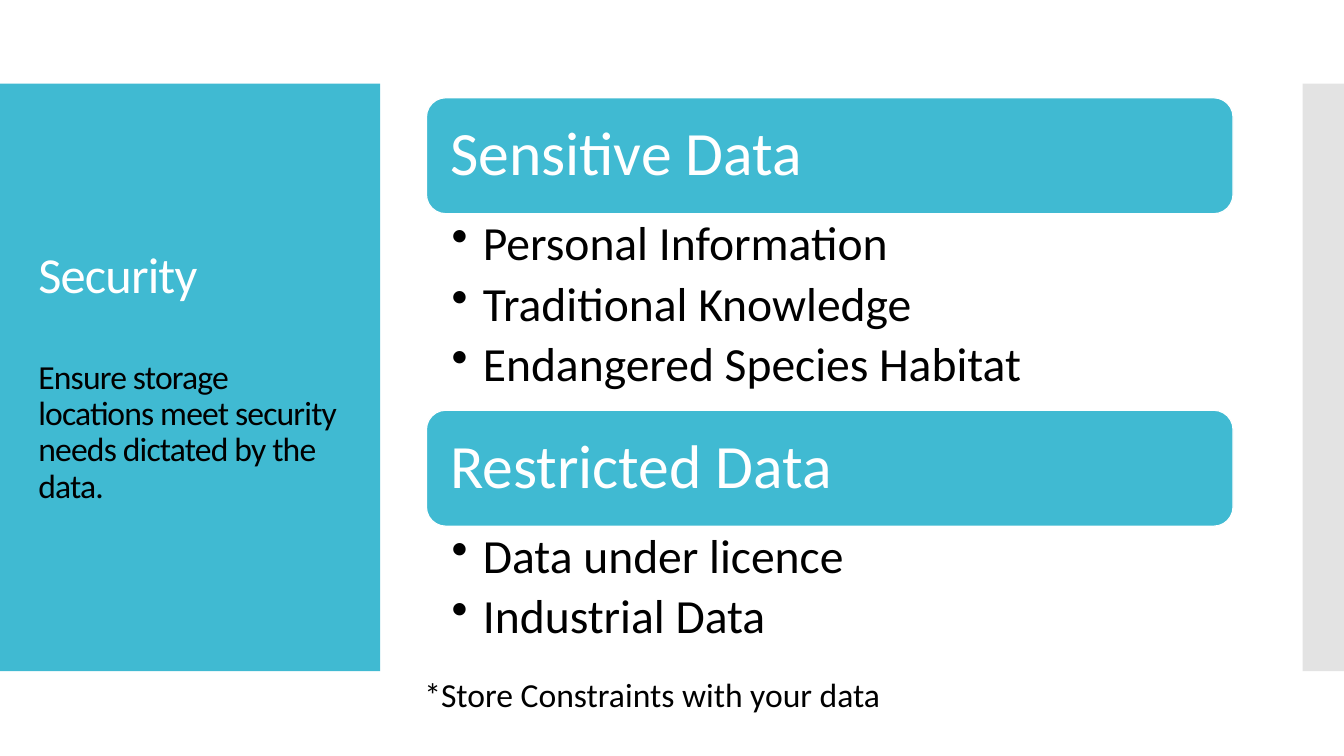
from lxml.etree import SubElement
from pptx import Presentation
from pptx.dml.color import RGBColor
from pptx.enum.shapes import MSO_SHAPE as Shape
from pptx.enum.text import MSO_ANCHOR as Anchor, PP_ALIGN as Align
from pptx.oxml.ns import qn
from pptx.util import Inches, Pt

TEAL, WHITE, BLACK, GREY = "40BAD2", "FFFFFF", "000000", "C8C8C8"
GROUPS = [
    (0.97, "Sensitive Data",
     ["Personal Information", "Traditional Knowledge", "Endangered Species Habitat"]),
    (4.07, "Restricted Data", ["Data under licence", "Industrial Data"]),
]
GROUP_LEFT, GROUP_WIDTH, HEADING_HEIGHT, BULLET_PITCH = 4.23, 8, 1.15, 0.65


def rgb(color):
    """Turn a hex string into a colour."""
    return RGBColor.from_string(color)


def add_block(slide, kind, left, top, width, height, color):
    """Add a filled shape without outline or shadow."""
    block = slide.shapes.add_shape(
        kind, Inches(left), Inches(top), Inches(width), Inches(height))
    block.shadow.inherit = False
    block.fill.solid()
    block.fill.fore_color.rgb = rgb(color)
    block.line.fill.background()
    return block


def set_frame(frame, anchor, left=0.1, top=0.05, right=0.1, bottom=0.05):
    """Set wrapping, anchor and insets of a text frame."""
    frame.word_wrap = True
    frame.vertical_anchor = anchor
    frame.margin_left, frame.margin_right = Inches(left), Inches(right)
    frame.margin_top, frame.margin_bottom = Inches(top), Inches(bottom)


def write_lines(frame, lines, size, color, spacing=0.9):
    """Write one left-aligned paragraph per line and return the paragraphs."""
    frame.text = "\n".join(lines)
    for paragraph in frame.paragraphs:
        paragraph.alignment = Align.LEFT
        paragraph.line_spacing = spacing
        paragraph.font.name = "Calibri"
        paragraph.font.size = Pt(size)
        paragraph.font.color.rgb = rgb(color)
    return frame.paragraphs


def add_text(slide, left, top, width, height):
    """Add a text box and return its frame."""
    return slide.shapes.add_textbox(
        Inches(left), Inches(top), Inches(width), Inches(height)).text_frame


def add_bullet(paragraph):
    """Give a paragraph a hanging round bullet."""
    properties = paragraph._p.get_or_add_pPr()
    properties.set("marL", str(Inches(0.31)))
    properties.set("indent", str(-Inches(0.31)))
    SubElement(properties, qn("a:buChar"), char="•")
    paragraph.space_after = Pt(6.5)


def add_group(slide, top, heading, items):
    """Add a rounded heading bar with its bullet list below."""
    bar = add_block(slide, Shape.ROUNDED_RECTANGLE,
                    GROUP_LEFT, top, GROUP_WIDTH, HEADING_HEIGHT, TEAL)
    bar.line.color.rgb = rgb(WHITE)
    bar.line.width = Pt(0.85)
    set_frame(bar.text_frame, Anchor.MIDDLE, 0.18, 0.18, 0.18, 0.18)
    write_lines(bar.text_frame, [heading], 44, WHITE)

    details = add_text(slide, GROUP_LEFT, top + HEADING_HEIGHT,
                       GROUP_WIDTH, BULLET_PITCH * len(items))
    set_frame(details, Anchor.TOP, 0.25, 0.06, 0.34, 0.06)
    for item in write_lines(details, items, 34, BLACK):
        add_bullet(item)


def add_side_panels(slide):
    """Add the teal title panel and the pale strip behind the title."""
    panel = add_block(slide, Shape.RECTANGLE, 0, 0.83, 3.77, 5.83, TEAL)
    strip = add_block(slide, Shape.RECTANGLE, 12.92, 0.83, 0.41, 5.83, GREY)
    strip_color = strip._element.spPr.find(qn("a:solidFill"))[0]
    SubElement(strip_color, qn("a:alpha"), val="50000")
    for block in (panel, strip):
        slide.shapes.title._element.addprevious(block._element)


def set_title(slide, heading, advice):
    """Place the title and the advice that follows it."""
    title = slide.shapes.title
    title.left, title.top = Inches(0.28), Inches(1.23)
    title.width, title.height = Inches(3.22), Inches(5.03)
    set_frame(title.text_frame, Anchor.MIDDLE)
    first, second = write_lines(title.text_frame, [heading, advice], 36, WHITE)
    second.font.size = Pt(24)
    second.font.color.rgb = rgb(BLACK)
    second.space_before = Pt(40)
    for paragraph in (first, second):
        paragraph.runs[0].font._element.set("spc", "-60")


def main():
    """Build and save the slide."""
    deck = Presentation()
    deck.slide_width, deck.slide_height = Inches(13.33), Inches(7.5)
    slide = deck.slides.add_slide(deck.slide_layouts.get_by_name("Title Only"))
    add_side_panels(slide)
    set_title(slide, "Security",
              "Ensure storage locations meet security needs dictated by the data.")
    for top, heading, items in GROUPS:
        add_group(slide, top, heading, items)
    footnote = add_text(slide, 4.11, 6.64, 7.49, 0.5)
    set_frame(footnote, Anchor.TOP)
    write_lines(footnote, ["*Store Constraints with your data"], 24, BLACK, 1)
    deck.save("out.pptx")


if __name__ == "__main__":
    main()
